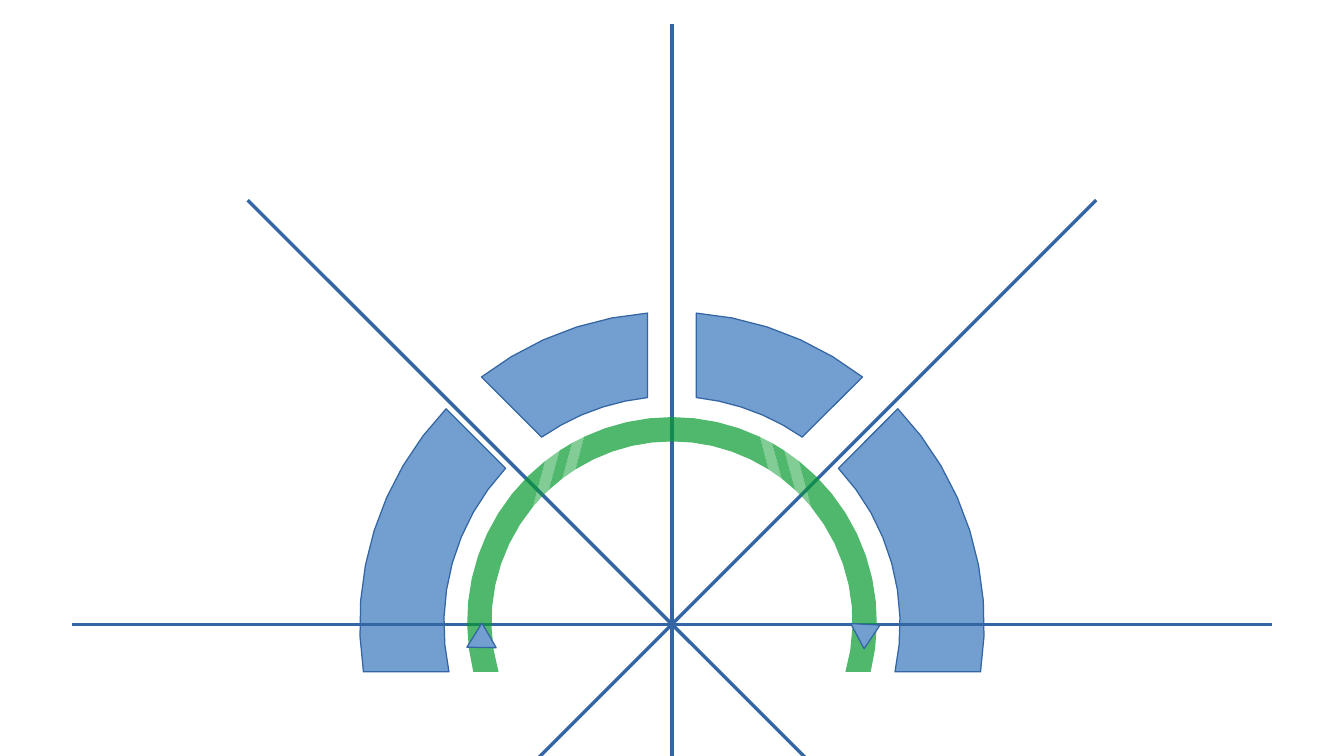
from dataclasses import dataclass
from math import asin, ceil, cos, pi, radians, sin
from typing import Optional

from lxml import etree
from pptx import Presentation
from pptx import util as u
from pptx.dml.color import RGBColor
from pptx.enum import shapes as kinds
from pptx.oxml.ns import qn

BLUE = RGBColor(0x72, 0x9F, 0xCF)
NAVY = RGBColor(0x34, 0x65, 0xA4)
GREEN = RGBColor(0x06, 0x9A, 0x2E)
STEP = radians(7)
ARM = 4.92


@dataclass(frozen=True)
class Ring:
    x: float
    y: float
    outer: float
    inner: float

    def point(self, radius: float, angle: float) -> tuple[int, int]:
        """Angles run clockwise from the top, in radians."""
        return (u.Inches(self.x + radius * sin(angle)),
                u.Inches(self.y - radius * cos(angle)))


@dataclass(frozen=True)
class Cut:
    """Angles at which a straight cut meets both rims."""
    outer: float
    inner: float

    def mirror(self) -> "Cut":
        return Cut(-self.outer, -self.inner)


@dataclass(frozen=True)
class Sector:
    start: Cut
    end: Cut

    def mirror(self) -> "Sector":
        return Sector(self.end.mirror(), self.start.mirror())


@dataclass(frozen=True)
class Marker:
    x: float
    y: float
    turn: float


WHEEL = Ring(5.51, 5.12, 2.56, 1.87)
BAND = Ring(5.51, 5.10, 1.68, 1.48)


def cut_beside(ring: Ring, spoke: float, shift: float) -> Cut:
    """Cut parallel to a spoke (degrees), shifted clockwise."""
    base = radians(spoke)
    return Cut(base + asin(shift / ring.outer), base + asin(shift / ring.inner))


def cut_at(ring: Ring, outer_x: float, inner_x: float) -> Cut:
    """Cut through given distances right of the centre, upper half."""
    return Cut(asin(outer_x / ring.outer), asin(inner_x / ring.inner))


def paint(shape, fill: RGBColor, line: Optional[RGBColor] = None,
          alpha: int = 100) -> None:
    shape.shadow.inherit = False
    shape.fill.solid()
    shape.fill.fore_color.rgb = fill
    if alpha < 100:
        color = shape._element.spPr.find(qn("a:solidFill"))[0]
        etree.SubElement(color, qn("a:alpha")).set("val", str(alpha * 1000))
    if line is None:
        shape.line.fill.background()
    else:
        shape.line.color.rgb = line
        shape.line.width = u.Pt(0)


def trace(ring: Ring, sector: Sector) -> list[tuple[int, int]]:
    def arc(radius: float, first: float, last: float) -> list[tuple[int, int]]:
        count = ceil(abs(last - first) / STEP)
        return [ring.point(radius, first + (last - first) * i / count)
                for i in range(count + 1)]

    return (arc(ring.outer, sector.start.outer, sector.end.outer)
            + arc(ring.inner, sector.end.inner, sector.start.inner))


def add_ring(slide, ring: Ring, sectors: list[Sector], fill: RGBColor,
             line: Optional[RGBColor] = None, alpha: int = 100) -> None:
    outlines = [trace(ring, sector) for sector in sectors]
    pen = slide.shapes.build_freeform(*outlines[0][0])
    for i, points in enumerate(outlines):
        if i:
            pen.move_to(*points[0])
        pen.add_line_segments(points[1:], close=True)
    paint(pen.convert_to_shape(), fill, line, alpha)


def add_spoke(slide, angle: float) -> None:
    ends = [*WHEEL.point(ARM, angle), *WHEEL.point(ARM, angle + pi)]
    spoke = slide.shapes.add_connector(kinds.MSO_CONNECTOR.STRAIGHT, *ends)
    spoke.line.color.rgb = NAVY
    spoke.line.width = u.Pt(0)
    etree.SubElement(spoke._element.spPr, qn("a:effectLst"))


def add_marker(slide, marker: Marker) -> None:
    shape = slide.shapes.add_shape(
        kinds.MSO_SHAPE.ISOSCELES_TRIANGLE, u.Inches(marker.x),
        u.Inches(marker.y), u.Inches(0.24), u.Inches(0.2))
    shape.rotation = marker.turn
    paint(shape, BLUE, NAVY)


def both(sectors: list[Sector]) -> list[Sector]:
    return sectors + [sector.mirror() for sector in sectors]


def main() -> None:
    deck = Presentation()
    deck.slide_width, deck.slide_height = u.Inches(11.02), u.Inches(6.2)
    slide = deck.slides.add_slide(deck.slide_layouts[6])

    blocks = [
        Sector(cut_beside(WHEEL, 45, 0.06), cut_beside(WHEEL, 90, 0.39)),
        Sector(cut_beside(WHEEL, 0, 0.2), cut_beside(WHEEL, 45, -0.33)),
    ]
    add_ring(slide, WHEEL, both(blocks), BLUE, NAVY)

    for degrees in (90, 0, 45, 135):
        add_spoke(slide, radians(degrees))

    rims = [(0.72, 0.79), (0.82, 0.9), (0.92, 1.01), (1.04, 1.14)]
    cuts = [cut_at(BAND, *rim) for rim in rims]
    foot = cut_beside(BAND, 90, 0.41)
    top = Sector(cuts[0].mirror(), cuts[0])
    sides = [Sector(cuts[1], cuts[2]), Sector(cuts[3], foot)]
    add_ring(slide, BAND, [top] + both(sides), GREEN, alpha=70)

    stripes = [Sector(cuts[0], cuts[1]), Sector(cuts[2], cuts[3])]
    for stripe in both(stripes):
        add_ring(slide, BAND, [stripe], GREEN, alpha=50)

    for marker in (Marker(6.97, 5.12, 183), Marker(3.83, 5.11, 1)):
        add_marker(slide, marker)
    deck.save("out.pptx")


if __name__ == "__main__":
    main()
